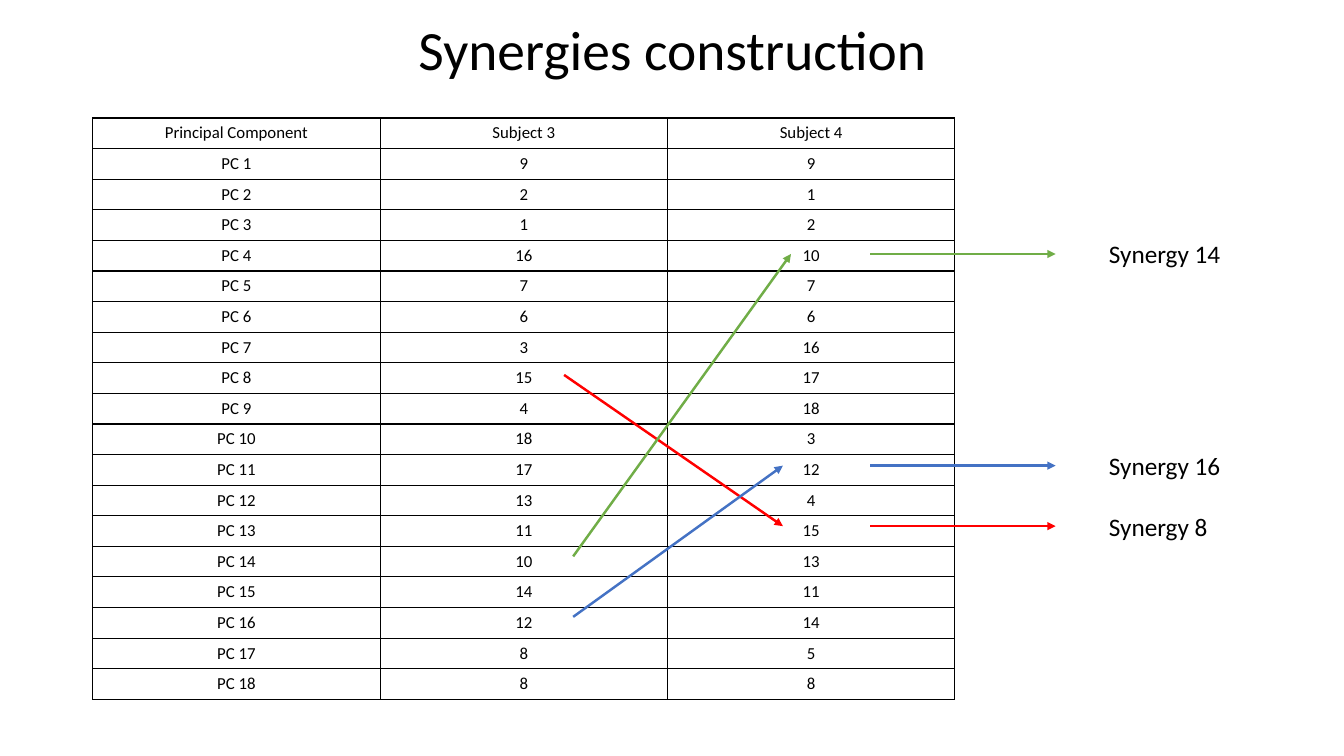
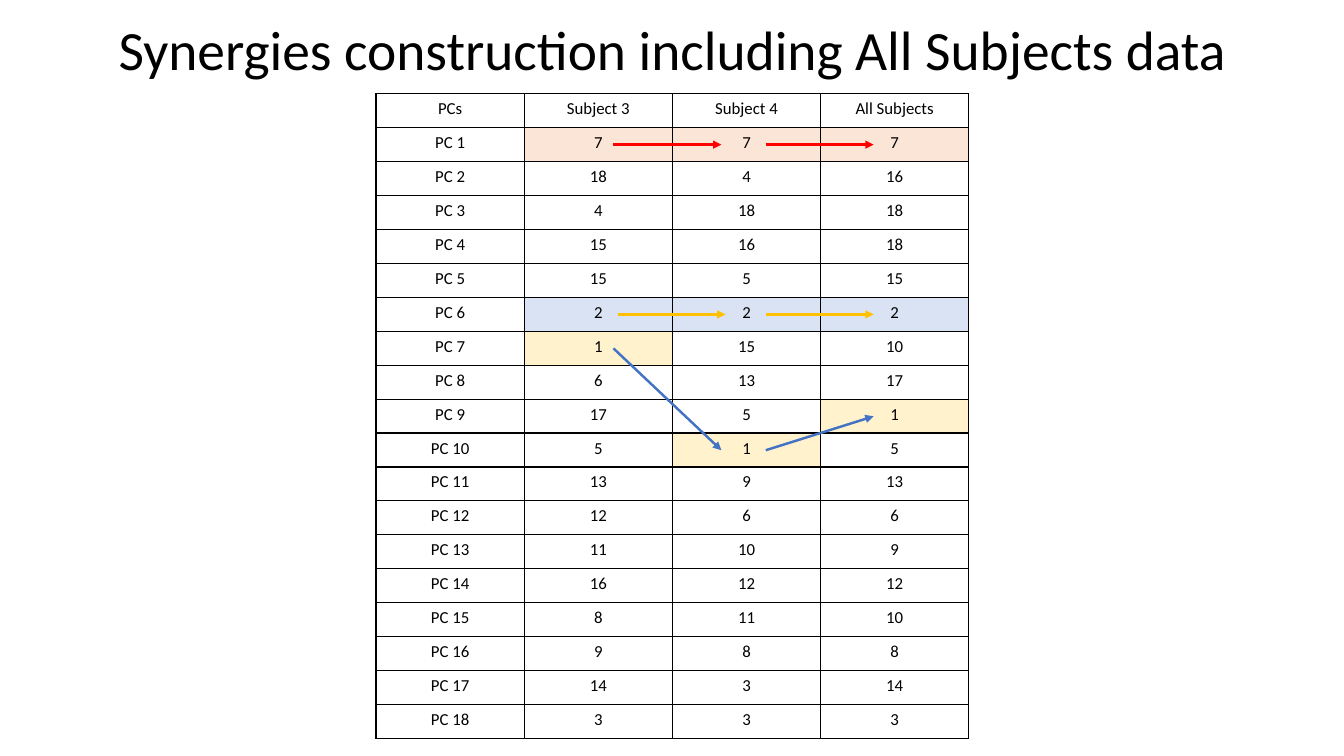
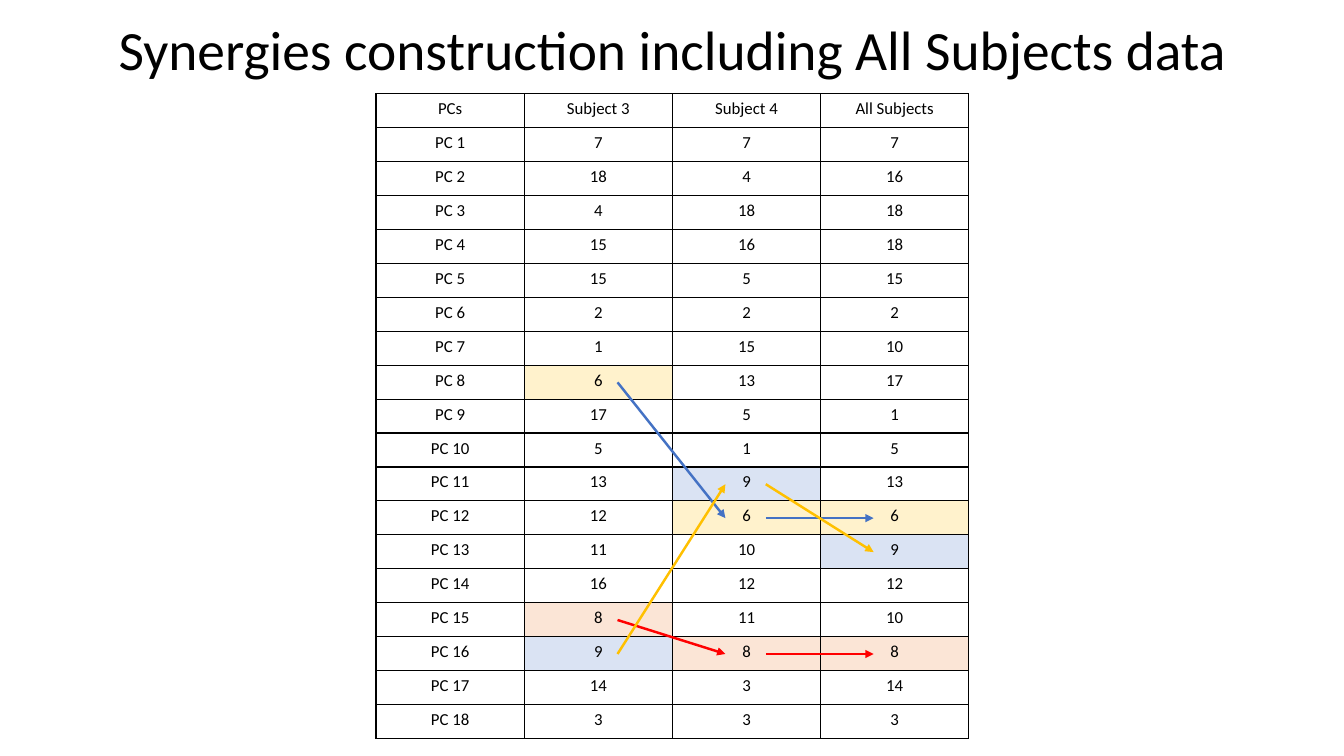
from dataclasses import dataclass

from lxml.etree import SubElement
from pptx import Presentation
from pptx.dml.color import RGBColor
from pptx.enum.shapes import MSO_CONNECTOR
from pptx.enum.text import MSO_ANCHOR, MSO_AUTO_SIZE, PP_ALIGN
from pptx.oxml.ns import qn
from pptx.util import Inches, Pt


@dataclass(frozen=True)
class Theme:
    font: str = "Calibri"
    ink: str = "000000"
    red: str = "FF0000"
    blue: str = "4472C4"
    green: str = "70AD47"
    gold: str = "FFC000"
    rose: str = "FBE5D6"
    cream: str = "FFF2CC"
    sky: str = "DAE3F3"
    title: float = 39.6
    label: float = 18
    cell: float = 12
    arrow: float = 1.75
    rule: float = 1


@dataclass(frozen=True)
class Grid:
    """Place of a table; columns and rows count from 0, the header is row 0."""
    left: float
    top: float
    wide: float
    high: float

    def mid_x(self, col):
        return self.left + (col + 0.5) * self.wide

    def mid_y(self, row):
        return self.top + (row + 0.5) * self.high


THEME = Theme()
WIDE, HIGH = 13.33, 7.5
PAIR = Grid(0.92, 1.17, 2.85, 0.3)
TRIO = Grid(3.73, 0.93, 1.47, 6.4 / 19)

PAIR_HEAD = ["Principal Component", "Subject 3", "Subject 4"]
PAIR_DATA = [
    [9, 2, 1, 16, 7, 6, 3, 15, 4, 18, 17, 13, 11, 10, 14, 12, 8, 8],
    [9, 1, 2, 10, 7, 6, 16, 17, 18, 3, 12, 4, 15, 13, 11, 14, 5, 8],
]
TRIO_HEAD = ["PCs", "Subject 3", "Subject 4", "All Subjects"]
TRIO_DATA = [
    [7, 18, 4, 15, 15, 2, 1, 6, 17, 5, 13, 12, 11, 16, 8, 9, 14, 3],
    [7, 4, 18, 16, 5, 2, 15, 13, 5, 1, 9, 6, 10, 12, 11, 8, 3, 3],
    [7, 16, 18, 18, 15, 2, 10, 17, 1, 5, 13, 6, 9, 12, 10, 8, 14, 3],
]

# Colour, row in Subject 3, row in Subject 4, gap after and gap before the value
LINKS = [
    (THEME.red, 8, 13, 0.4, 0.28),
    (THEME.blue, 16, 11, 0.49, 0.28),
    (THEME.green, 14, 4, 0.49, 0.2),
]
# Line colour, cell fill, row in each subject column, shift of the first arrow
LOW_TRAILS = [
    (THEME.red, THEME.rose, (1, 1, 1), -0.04),
    (THEME.blue, THEME.cream, (7, 10, 9), -0.04),
    (THEME.gold, THEME.sky, (6, 6, 6), 0),
]
HIGH_TRAILS = [
    (THEME.red, THEME.rose, (15, 16, 16), 0),
    (THEME.blue, THEME.cream, (8, 12, 12), 0),
    (THEME.gold, THEME.sky, (16, 11, 13), 0),
]


def color(code):
    return RGBColor.from_string(code)


def write(frame, text, size, align=PP_ALIGN.LEFT):
    para = frame.paragraphs[0]
    para.alignment = align
    run = para.add_run()
    run.text = text
    run.font.name = THEME.font
    run.font.size = Pt(size)
    run.font.color.rgb = color(THEME.ink)
    return para


def add_slide(deck, text):
    slide = deck.slides.add_slide(deck.slide_layouts[5])
    title = slide.shapes.title
    title.left, title.top = Inches(0.92), Inches(0.26)
    title.width, title.height = Inches(11.5), Inches(0.53)
    frame = title.text_frame
    frame.word_wrap = True
    frame.auto_size = MSO_AUTO_SIZE.NONE
    frame.vertical_anchor = MSO_ANCHOR.MIDDLE
    write(frame, text, THEME.title, PP_ALIGN.CENTER).line_spacing = 0.9
    return slide


def add_rules(cell):
    """Draw a line on all four sides of a table cell."""
    props = cell._tc.get_or_add_tcPr()
    for side in ("a:lnL", "a:lnR", "a:lnT", "a:lnB"):
        line = SubElement(props, qn(side), w=str(Pt(THEME.rule)))
        fill = SubElement(line, qn("a:solidFill"))
        SubElement(fill, qn("a:srgbClr"), val=THEME.ink)


def add_grid(slide, grid, head, data, fills):
    """Add the table; fills maps (row, column) to a colour."""
    names = [f"PC {n}" for n in range(1, len(data[0]) + 1)]
    rows = [head, *zip(names, *data)]
    table = slide.shapes.add_table(
        len(rows), len(head), Inches(grid.left), Inches(grid.top),
        Inches(grid.wide * len(head)), Inches(grid.high * len(rows))).table
    table.first_row = table.horz_banding = False
    for col in table.columns:
        col.width = Inches(grid.wide)
    for r, row in enumerate(rows):
        table.rows[r].height = Inches(grid.high)
        for c, value in enumerate(row):
            cell = table.cell(r, c)
            add_rules(cell)
            if (r, c) in fills:
                cell.fill.solid()
                cell.fill.fore_color.rgb = color(fills[r, c])
            else:
                cell.fill.background()
            write(cell.text_frame, str(value), THEME.cell, PP_ALIGN.CENTER)


def add_arrow(slide, start, end, code):
    ends = [Inches(n) for n in (*start, *end)]
    arrow = slide.shapes.add_connector(MSO_CONNECTOR.STRAIGHT, *ends)
    arrow.line.color.rgb = color(code)
    arrow.line.width = Pt(THEME.arrow)
    SubElement(arrow.line._get_or_add_ln(), qn("a:tailEnd"), type="triangle")
    SubElement(arrow._element.spPr, qn("a:effectLst"))


def add_label(slide, text, left, mid):
    box = slide.shapes.add_textbox(
        Inches(left), Inches(mid - 0.2), Inches(2.2), Inches(0.4))
    box.text_frame.word_wrap = True
    write(box.text_frame, text, THEME.label)


def link_pair(slide, grid):
    """Join matching values and lead each match to its synergy."""
    for code, first, last, after, before in LINKS:
        y = grid.mid_y(last)
        add_arrow(slide, (grid.mid_x(1) + after, grid.mid_y(first)),
                  (grid.mid_x(2) - before, y), code)
        add_arrow(slide, (8.63, y), (10.47, y), code)
        add_label(slide, f"Synergy {first}", 10.9, y)


def add_trails(slide, grid, trails):
    """Join the cells of each trail, column by column."""
    for code, _, rows, shift in trails:
        for col, (here, there) in enumerate(zip(rows, rows[1:]), 1):
            move = shift if col == 1 else 0
            add_arrow(slide, (grid.mid_x(col) + 0.19 + move, grid.mid_y(here)),
                      (grid.mid_x(col + 1) - 0.21 + move, grid.mid_y(there)), code)


def main():
    deck = Presentation()
    deck.slide_width, deck.slide_height = Inches(WIDE), Inches(HIGH)

    slide = add_slide(deck, "Synergies construction")
    add_grid(slide, PAIR, PAIR_HEAD, PAIR_DATA, {})
    link_pair(slide, PAIR)

    for trails in (LOW_TRAILS, HIGH_TRAILS):
        slide = add_slide(deck, "Synergies construction including All Subjects data")
        fills = {(row, col): fill for _, fill, rows, _ in trails
                 for col, row in enumerate(rows, 1)}
        add_grid(slide, TRIO, TRIO_HEAD, TRIO_DATA, fills)
        add_trails(slide, TRIO, trails)

    deck.save("out.pptx")


if __name__ == "__main__":
    main()
